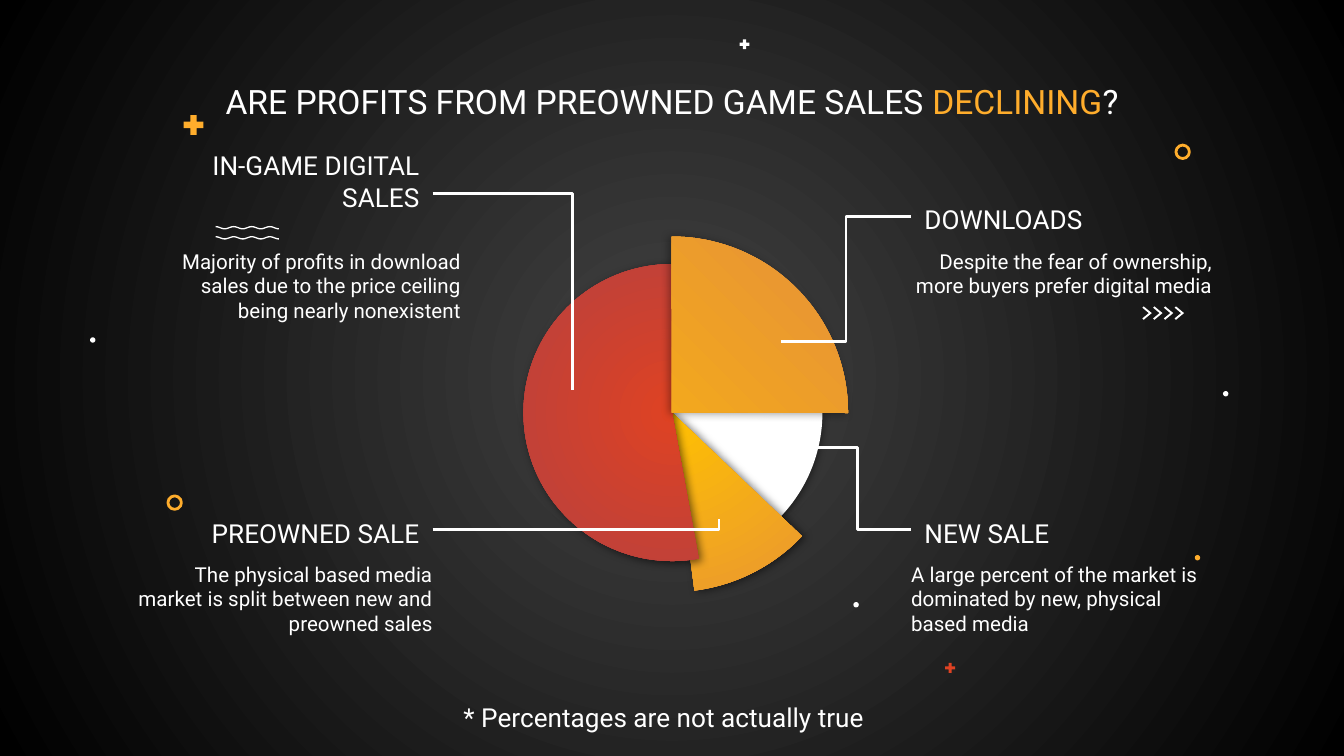
import dataclasses
import math

import pptx
import pptx.dml.color
import pptx.enum.shapes
import pptx.enum.text
import pptx.oxml
import pptx.oxml.ns
import pptx.util

SHAPE = pptx.enum.shapes.MSO_SHAPE
ALIGN = pptx.enum.text.PP_ALIGN
ANCHOR = pptx.enum.text.MSO_ANCHOR
WIDTH, HEIGHT = pptx.util.Inches(10), pptx.util.Inches(5.625)
COLUMNS = 100
CELL = WIDTH / COLUMNS
LEFT, RIGHT, TEXT_WIDTH = 9.8, 67.8, 22.4
PIE_CENTRE = (50, 30.7)


@dataclasses.dataclass(frozen=True)
class Theme:
    """Colours, font and type sizes of the slide."""
    white: str = "FFFFFF"
    accent: str = "FFAD2C"
    red: str = "DE4223"
    yellow_blend: tuple = ("FFC002", "E69138")
    red_blend: tuple = ("DE4223", "B64040")
    backdrop: tuple = ("434343", "000000")
    font: str = "Roboto"
    title: int = 18
    label: int = 14
    body: int = 11
    stroke: float = 1.5


THEME = Theme()


def grid(*cells):
    """Turn grid cells into slide lengths."""
    return [pptx.util.Emu(round(cell * CELL)) for cell in cells]


def rgb(colour):
    """Turn a hex string into a colour."""
    return pptx.dml.color.RGBColor.from_string(colour)


def paint(fill, colour):
    """Fill with one colour."""
    fill.solid()
    fill.fore_color.rgb = rgb(colour)


def paint_radial(fill, element, colours, focus=(50, 50, 50, 50)):
    """Fill with a circular gradient that starts at the focus."""
    fill.gradient()
    for stop, colour in zip(fill.gradient_stops, colours):
        stop.color.rgb = rgb(colour)
    gradient = next(element.iter(pptx.oxml.ns.qn("a:gradFill")))
    sides = " ".join(f'{side}="{share * 1000}"' for side, share in zip("ltrb", focus))
    gradient.replace(
        gradient.find(pptx.oxml.ns.qn("a:lin")),
        pptx.oxml.parse_xml(
            f'<a:path {pptx.oxml.ns.nsdecls("a")} path="circle">'
            f"<a:fillToRect {sides}/></a:path>"
        ),
    )


def add_round_box(page, kind, centre, size):
    """Add a plain square-framed shape around a centre."""
    column, row = centre
    shape = page.shapes.add_shape(
        kind, *grid(column - size / 2, row - size / 2, size, size)
    )
    shape.shadow.inherit = False
    shape.line.fill.background()
    return shape


def add_plus(page, centre, size, colour):
    """Add a plus sign."""
    plus = add_round_box(page, SHAPE.MATH_PLUS, centre, size)
    plus.adjustments[0] = 0.235
    paint(plus.fill, colour)


def add_dot(page, centre, colour):
    """Add a small dot."""
    paint(add_round_box(page, SHAPE.OVAL, centre, 0.4).fill, colour)


def add_ring(page, centre):
    """Add an outlined circle."""
    ring = add_round_box(page, SHAPE.OVAL, centre, 1)
    ring.fill.background()
    ring.line.color.rgb = rgb(THEME.accent)
    ring.line.width = pptx.util.Pt(THEME.stroke)


def add_outline(page, points):
    """Add a closed white outline through grid points."""
    start, *rest = [grid(*point) for point in points]
    builder = page.shapes.build_freeform(*start)
    builder.add_line_segments(rest, close=True)
    outline = builder.convert_to_shape()
    outline.shadow.inherit = False
    outline.line.fill.background()
    paint(outline.fill, THEME.white)


def add_wave(page, row):
    """Add a thin wavy band of three and a half periods."""
    steps = 56
    crest = [
        (16.05 + 4.7 * step / steps, row - 0.08 * math.cos(7 * math.pi * step / steps))
        for step in range(steps + 1)
    ]
    add_outline(page, crest + [(column, y + 0.1) for column, y in reversed(crest)])


def add_chevron(page, column):
    """Add one right-pointing chevron."""
    shape = [(0.1, 0), (0.7, 0.5), (0.1, 1), (0, 0.9), (0.48, 0.5), (0, 0.1)]
    add_outline(page, [(column + x, 22.8 + y) for x, y in shape])


def add_slice(page, radius, start, end, colours, shadow, focus=(50, 50, 50, 50)):
    """Add a pie slice between two angles, with a shadow of (opacity, angle)."""
    piece = add_round_box(page, SHAPE.PIE, PIE_CENTRE, 2 * radius)
    for index, angle in enumerate((start, end)):
        piece.adjustments[index] = angle * 0.6
    if isinstance(colours, str):
        paint(piece.fill, colours)
    else:
        paint_radial(piece.fill, piece.element, colours, focus)
    opacity, direction = shadow
    effects = piece.element.spPr.find(pptx.oxml.ns.qn("a:effectLst"))
    effects.append(pptx.oxml.parse_xml(
        f'<a:outerShdw {pptx.oxml.ns.nsdecls("a")} blurRad="57150" dist="19050" '
        f'dir="{direction * 60000}" algn="bl" rotWithShape="0"><a:srgbClr val="000000">'
        f'<a:alpha val="{opacity * 1000}"/></a:srgbClr></a:outerShdw>'
    ))


def format_text(box, size, align, anchor=ANCHOR.TOP, insets=(0, 0.1, 0, 0)):
    """Set the frame and the type of a filled text box."""
    frame = box.text_frame
    frame.word_wrap = True
    frame.auto_size = pptx.enum.text.MSO_AUTO_SIZE.NONE
    frame.vertical_anchor = anchor
    (frame.margin_left, frame.margin_top,
     frame.margin_right, frame.margin_bottom) = grid(*insets)
    for para in frame.paragraphs:
        para.alignment = align
        for span in para.runs:
            span.font.name = THEME.font
            span.font.size = pptx.util.Pt(size)
            span.font.color.rgb = rgb(THEME.white)


def add_text(page, area, text, size, align, **frame_format):
    """Add a text box on the grid."""
    box = page.shapes.add_textbox(*grid(*area))
    box.text_frame.text = text
    format_text(box, size, align, **frame_format)
    return box


def add_label(page, column, row, text):
    """Add a slice label whose text keeps clear of its leader line."""
    on_left = column == LEFT
    return add_text(
        page, (column, row, TEXT_WIDTH, 2.8), text, THEME.label,
        ALIGN.RIGHT if on_left else ALIGN.LEFT, anchor=ANCHOR.BOTTOM,
        insets=(0, 0.1, 1, 0) if on_left else (1, 0.1, 0, 0),
    )


def add_leader(page, label, side, target, preset):
    """Add a bent line from the side of a label to a slice."""
    leader = page.shapes.add_connector(
        pptx.enum.shapes.MSO_CONNECTOR.ELBOW, 0, 0, *grid(*target)
    )
    leader.begin_connect(label, side)
    leader.line.color.rgb = rgb(THEME.white)
    leader.line.width = pptx.util.Pt(THEME.stroke)
    properties = leader.element.spPr
    properties.find(pptx.oxml.ns.qn("a:prstGeom")).set("prst", preset)
    properties.append(
        pptx.oxml.parse_xml(f'<a:effectLst {pptx.oxml.ns.nsdecls("a")}/>')
    )


def add_title(page):
    """Fill the title placeholder and highlight one word."""
    title = page.shapes.title
    title.left, title.top, title.width, title.height = grid(16, 6, 68, 5.8)
    para = title.text_frame.paragraphs[0]
    for text in ("ARE PROFITS FROM PREOWNED GAME SALES ", "DECLINING", "?"):
        para.add_run().text = text
    format_text(title, THEME.title, ALIGN.CENTER, insets=(0, 0, 0, 0))
    para.runs[1].font.color.rgb = rgb(THEME.accent)


def add_decorations(page):
    """Scatter the small ornaments."""
    for row in (16.9, 17.65):
        add_wave(page, row)
    for index in range(4):
        add_chevron(page, 85 + 0.8 * index)
    for centre, size, colour in (((14.4, 9.3), 2, THEME.accent),
                                 ((55.4, 3.3), 1, THEME.white),
                                 ((70.7, 49.7), 1, THEME.red)):
        add_plus(page, centre, size, colour)
    for centre in ((6.9, 25.3), (91.2, 29.3), (63.7, 45)):
        add_dot(page, centre, THEME.white)
    add_dot(page, (89.1, 41.5), THEME.accent)
    for centre in ((88, 11.3), (13, 37.4)):
        add_ring(page, centre)


def main():
    """Build the slide."""
    deck = pptx.Presentation()
    deck.slide_width, deck.slide_height = WIDTH, HEIGHT
    page = deck.slides.add_slide(deck.slide_layouts[5])
    paint_radial(page.background.fill, page.element, THEME.backdrop)
    add_decorations(page)
    add_title(page)
    for column, row, align, text in (
        (LEFT, 41.7, ALIGN.RIGHT, "The physical based media market is split between new and preowned sales"),
        (11.9, 18.4, ALIGN.RIGHT, "Majority of profits in download sales due to the price ceiling being nearly nonexistent"),
        (RIGHT, 18.4, ALIGN.RIGHT, "Despite the fear of ownership, more buyers prefer digital media"),
        (RIGHT, 41.7, ALIGN.LEFT, "A large percent of the market is dominated by new, physical based media"),
    ):
        add_text(page, (column, row, TEXT_WIDTH, 5), text, THEME.body, align)
    preowned = add_label(page, LEFT, 38, "PREOWNED SALE")
    digital = add_label(page, LEFT, 13, "IN-GAME DIGITAL SALES")
    downloads = add_label(page, RIGHT, 14.7, "DOWNLOADS")
    new_sale = add_label(page, RIGHT, 38, "NEW SALE")
    add_slice(page, 11.2, 358.4, 52.96, THEME.white, (50, 90))
    add_slice(page, 13.35, 43.55, 82.79, THEME.yellow_blend, (50, 7))
    add_slice(page, 11.05, 79.59, 270, THEME.red_blend, (53, 37))
    add_slice(page, 13.1, 269.87, 0.14, THEME.yellow_blend, (34, 165), (0, 100, 100, 0))
    add_leader(page, downloads, 1, (58.1, 25.4), "bentConnector3")
    add_leader(page, preowned, 3, (53.5, 38.6), "bentConnector2")
    add_leader(page, digital, 3, (42.6, 29), "bentConnector2")
    add_leader(page, new_sale, 1, (59.8, 33.3), "bentConnector3")
    add_text(page, (33.5, 51.2, 32.9, 7.6), "* Percentages are not actually true",
             THEME.label, ALIGN.LEFT, insets=(1, 1, 1, 1))
    deck.save("out.pptx")


if __name__ == "__main__":
    main()
